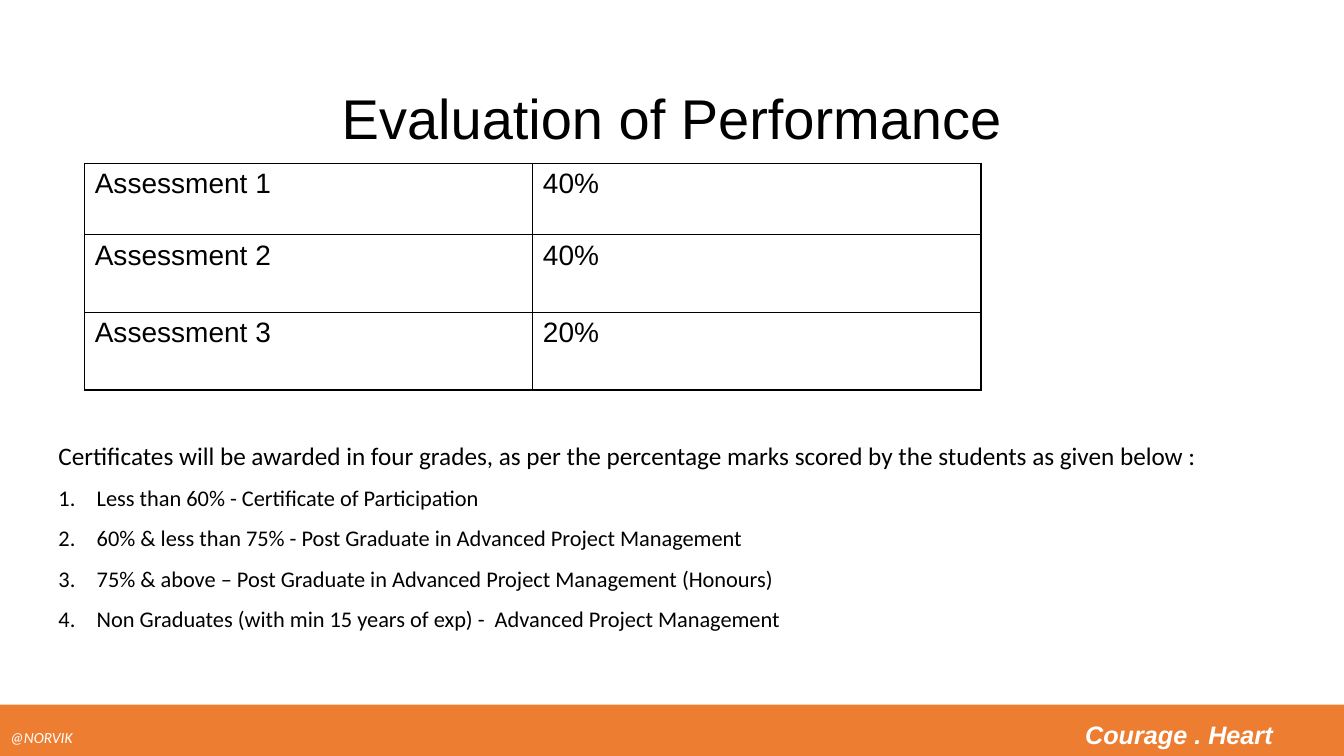
from lxml import etree
from pptx import Presentation
from pptx.dml.color import RGBColor
from pptx.enum.shapes import MSO_SHAPE
from pptx.enum.text import PP_ALIGN
from pptx.oxml.ns import qn
from pptx.util import Inches, Pt

RECT = MSO_SHAPE.RECTANGLE
LEFT, MID, RIGHT = PP_ALIGN.LEFT, PP_ALIGN.CENTER, PP_ALIGN.RIGHT
WIDE, HIGH = 13.33, 7.5
HUES = {"bar": "ED7D31", "ink": "000000", "pale": "FFFFFF"}
FORMS = {
    "title": {"name": "Arial", "size": Pt(40)},
    "cell": {"name": "Arial", "size": Pt(20)},
    "lead": {"name": "Calibri", "size": Pt(18)},
    "grade": {"name": "Calibri", "size": Pt(16)},
    "handle": {"name": "Calibri", "size": Pt(11), "italic": True},
    "motto": {"name": "Arial", "size": Pt(18), "bold": True, "italic": True},
}
MARKS = [("Assessment 1", "40%"), ("Assessment 2", "40%"), ("Assessment 3", "20%")]
TALL = [0.71, 0.77, 0.77]
LEAD = ("Certificates will be awarded in four grades, as per the percentage "
        "marks scored by the students as given below :")
GRADES = [
    "Less than 60% - Certificate of Participation",
    "60% & less than 75% - Post Graduate in Advanced Project Management",
    "75% & above – Post Graduate in Advanced Project Management (Honours)",
    "Non Graduates (with min 15 years of exp) -\u00a0 Advanced\u00a0Project Management",
]


def tint(key):
    return RGBColor.from_string(HUES[key])


def write(para, text, form, hue="ink", align=LEFT):
    para.alignment = align
    run = para.add_run()
    run.text = text
    for key, value in FORMS[form].items():
        setattr(run.font, key, value)
    run.font.color.rgb = tint(hue)


def frame(slide, box):
    text = slide.shapes.add_textbox(*map(Inches, box)).text_frame
    text.word_wrap = True
    for side in ("left", "right", "top", "bottom"):
        setattr(text, f"margin_{side}", 0)
    return text


def footer(slide, box):
    x, y, w, h = box
    bar = slide.shapes.add_shape(RECT, *map(Inches, box))
    bar.shadow.inherit = False
    bar.fill.solid()
    bar.fill.fore_color.rgb = tint("bar")
    bar.line.fill.background()
    handle = frame(slide, (x + 0.1, y + 0.45 * h, w / 4, 0.4 * h))
    write(handle.paragraphs[0], "@NORVIK", "handle", "pale")
    motto = frame(slide, (x + w / 2, y + 0.28 * h, 0.447 * w, 0.6 * h))
    write(motto.paragraphs[0], "Courage . Heart", "motto", "pale", RIGHT)


def title(slide, box):
    write(frame(slide, box).paragraphs[0], "Evaluation of Performance", "title", align=MID)


def edge(cell):
    props = cell._tc.get_or_add_tcPr()
    for rank, side in enumerate(("lnL", "lnR", "lnT", "lnB")):
        line = etree.Element(qn(f"a:{side}"), w=str(Pt(1)))
        fill = etree.SubElement(line, qn("a:solidFill"))
        etree.SubElement(fill, qn("a:srgbClr"), val=HUES["ink"])
        props.insert(rank, line)


def marks(slide, box):
    grid = slide.shapes.add_table(len(MARKS), 2, *map(Inches, box)).table
    for col in grid.columns:
        col.width = Inches(box[2] / 2)
    for r, (row, tall) in enumerate(zip(MARKS, TALL)):
        grid.rows[r].height = Inches(tall)
        for c, text in enumerate(row):
            cell = grid.cell(r, c)
            cell.fill.background()
            edge(cell)
            write(cell.text_frame.paragraphs[0], text, "cell")


def grades(slide, box):
    text = frame(slide, box)
    write(text.paragraphs[0], LEAD, "lead")
    for grade in GRADES:
        para = text.add_paragraph()
        para.line_spacing = 1.5
        write(para, grade, "grade")
        props = para._p.get_or_add_pPr()
        props.set("marL", str(Inches(0.38)))
        props.set("indent", str(-Inches(0.38)))
        etree.SubElement(props, qn("a:buFont"), typeface="+mj-lt")
        etree.SubElement(props, qn("a:buAutoNum"), type="arabicPeriod")


def main():
    deck = Presentation()
    deck.slide_width, deck.slide_height = Inches(WIDE), Inches(HIGH)
    slide = deck.slides.add_slide(deck.slide_layouts[6])
    footer(slide, (0, 6.99, WIDE, 0.51))
    title(slide, (0.48, 0.83, 12.36, 0.64))
    marks(slide, (0.84, 1.62, 8.89, sum(TALL)))
    grades(slide, (0.58, 4.37, 12.16, 2))
    deck.save("out.pptx")


if __name__ == "__main__":
    main()
